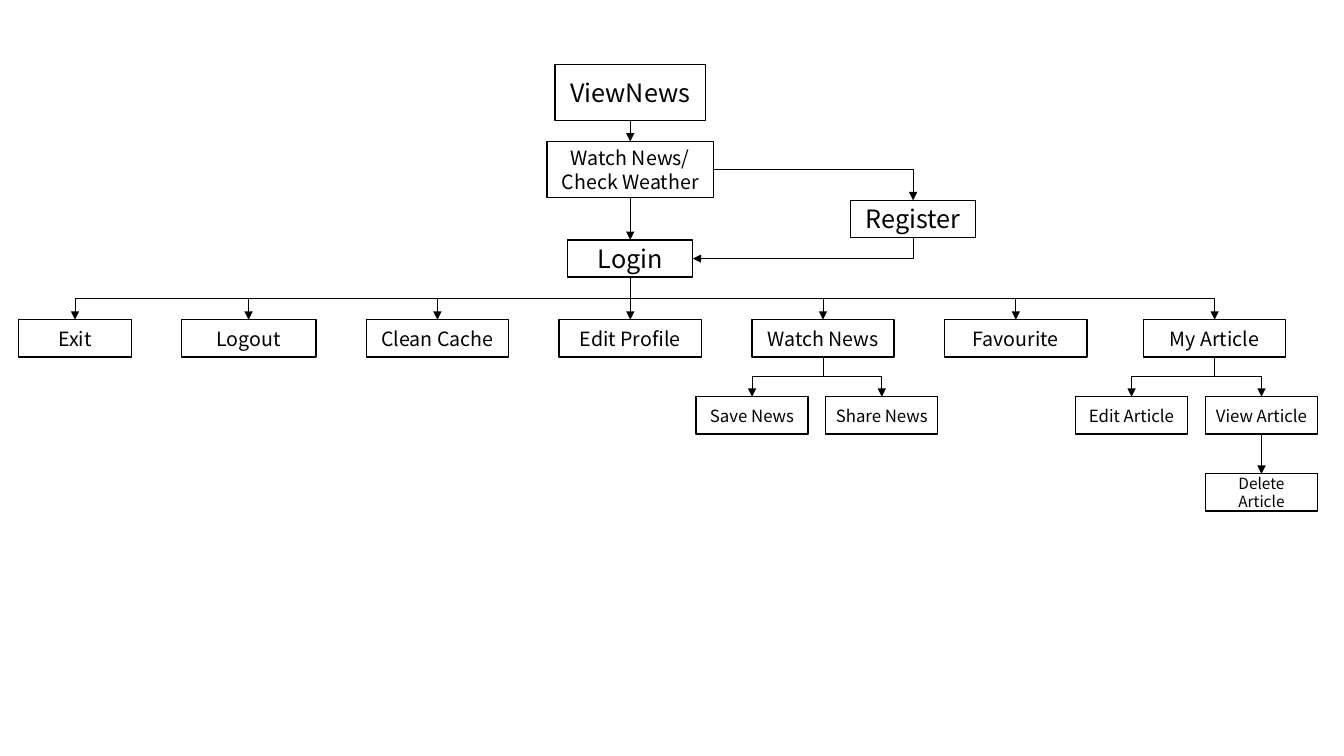
from dataclasses import dataclass

from lxml import etree
from pptx import Presentation
from pptx import util as u
from pptx.dml.color import RGBColor
from pptx.enum import shapes, text
from pptx.oxml.ns import qn


@dataclass(frozen=True)
class Theme:
    """Colours, font, type sizes and line widths in points."""
    ink: RGBColor = RGBColor(0, 0, 0)
    paper: RGBColor = RGBColor(255, 255, 255)
    font: str = "Noto Sans CJK SC"
    large: int = 18
    medium: int = 14
    small: int = 12
    tiny: int = 11
    border: float = 1
    arrow: float = 0.5


THEME = Theme()

MIDDLE = 450.2          # centre line of the trunk
REGISTER_X = 652.2
COLUMN_STEP = 137.7
BOX_HEIGHT = 26.6
TALL_HEIGHT = 40
LOGIN_TOP = 171.4
MENU_TOP = 228.4
LEVEL_STEP = 55         # from one menu level to the next
BUS_Y = 213.2

# label, centre, width
MENU = [
    ("Exit", 53.6, 80.8),
    ("Logout", 177.6, 96),
    ("Clean Cache", MIDDLE - COLUMN_STEP, 101.6),
    ("Edit Profile", MIDDLE, 101.6),
    ("Watch News", MIDDLE + COLUMN_STEP, 101.6),
    ("Favourite", MIDDLE + 2 * COLUMN_STEP, 101.6),
    ("My Article", 867.6, 101.6),
]

# parent, then label and centre of each child
SUBMENUS = {
    "Watch News": [("Save News", 537.2), ("Share News", 629.9)],
    "My Article": [("Edit Article", 808.3), ("View Article", 901.1)],
}
SUBMENU_WIDTH = 80


def add_box(page, label, centre, top, width, size, height=BOX_HEIGHT):
    """Add a bordered rectangle around a horizontal centre."""
    box = page.shapes.add_shape(
        shapes.MSO_SHAPE.RECTANGLE, u.Pt(centre - width / 2), u.Pt(top),
        u.Pt(width), u.Pt(height))
    box.shadow.inherit = False
    box.fill.solid()
    box.fill.fore_color.rgb = THEME.paper
    box.line.color.rgb = THEME.ink
    box.line.width = u.Pt(THEME.border)
    frame = box.text_frame
    frame.word_wrap = True
    frame.vertical_anchor = text.MSO_ANCHOR.MIDDLE
    frame.text = label
    for para in frame.paragraphs:
        para.alignment = text.PP_ALIGN.CENTER
        for span in para.runs:
            span.font.name = THEME.font
            span.font.size = u.Pt(size)
            span.font.color.rgb = THEME.ink
    return box


def add_arrow(page, start, end, kind=shapes.MSO_CONNECTOR.STRAIGHT):
    """Add a thin connector with a triangle at its end."""
    arrow = page.shapes.add_connector(kind, *map(u.Pt, start + end))
    arrow.line.color.rgb = THEME.ink
    arrow.line.width = u.Pt(THEME.arrow)
    outline = arrow.line._get_or_add_ln()
    etree.SubElement(outline, qn("a:tailEnd"), type="triangle")
    etree.SubElement(arrow._element.spPr, qn("a:effectLst"))
    return arrow


def link_down(page, upper, lower):
    """Join two stacked boxes with a straight arrow."""
    centre = (upper.left + upper.width / 2) / u.Pt(1)
    bottom = (upper.top + upper.height) / u.Pt(1)
    add_arrow(page, (centre, bottom), (centre, lower.top / u.Pt(1)))


def add_elbow(page, start, end, bends=1, downward=False):
    """Add a bent arrow that leaves sideways, or downward if asked."""
    arrow = add_arrow(page, start, end, shapes.MSO_CONNECTOR.ELBOW)
    properties = arrow._element.spPr
    properties.find(qn("a:prstGeom")).set("prst", f"bentConnector{bends + 1}")
    if downward:
        across, down = abs(end[0] - start[0]), end[1] - start[1]
        arrow.left = u.Pt((start[0] + end[0] - down) / 2)
        arrow.top = u.Pt((start[1] + end[1] - across) / 2)
        arrow.width, arrow.height = u.Pt(down), u.Pt(across)
        to_right = end[0] > start[0]
        frame = properties.find(qn("a:xfrm"))
        frame.set("rot", str((270 if to_right else 90) * 60000))
        frame.set("flipH", "1" if to_right else "0")


def add_trunk(page):
    """Add the entry boxes down to Login and the detour by Register."""
    home = add_box(page, "ViewNews", MIDDLE, 46, 107.4, THEME.large, TALL_HEIGHT)
    watch_top, watch_width = 101, 118.8
    watch = add_box(page, "Watch News/\nCheck Weather", MIDDLE, watch_top,
                    watch_width, THEME.medium, TALL_HEIGHT)
    register_top, login_width = 143.1, 89.4
    add_box(page, "Register", REGISTER_X, register_top, login_width, THEME.large)
    login = add_box(page, "Login", MIDDLE, LOGIN_TOP, login_width, THEME.large)
    link_down(page, home, watch)
    link_down(page, watch, login)
    add_elbow(page, (MIDDLE + watch_width / 2, watch_top + TALL_HEIGHT / 2),
              (REGISTER_X, register_top))
    add_elbow(page, (REGISTER_X, register_top + BOX_HEIGHT),
              (MIDDLE + login_width / 2, LOGIN_TOP + BOX_HEIGHT / 2),
              downward=True)
    return login


def add_menu(page, login):
    """Add the row of menu boxes, each fed from the bus under Login."""
    for label, centre, width in MENU:
        box = add_box(page, label, centre, MENU_TOP, width, THEME.medium)
        if centre == MIDDLE:
            link_down(page, login, box)
        else:
            add_elbow(page, (MIDDLE, BUS_Y), (centre, MENU_TOP))


def add_submenus(page):
    """Add the second level and the delete step under View Article."""
    centres = {label: centre for label, centre, _ in MENU}
    top = MENU_TOP + LEVEL_STEP
    for parent, children in SUBMENUS.items():
        for label, centre in children:
            box = add_box(page, label, centre, top, SUBMENU_WIDTH, THEME.small)
            add_elbow(page, (centres[parent], MENU_TOP + BOX_HEIGHT),
                      (centre, top), bends=2, downward=True)
            if label == "View Article":
                delete = add_box(page, "Delete Article", centre,
                                 top + LEVEL_STEP, SUBMENU_WIDTH, THEME.tiny)
                link_down(page, box, delete)


def main():
    """Build the site map and save it."""
    deck = Presentation()
    deck.slide_width, deck.slide_height = u.Pt(960), u.Pt(540)
    page = deck.slides.add_slide(deck.slide_layouts[6])
    login = add_trunk(page)
    add_menu(page, login)
    add_submenus(page)
    deck.save("out.pptx")


main()
